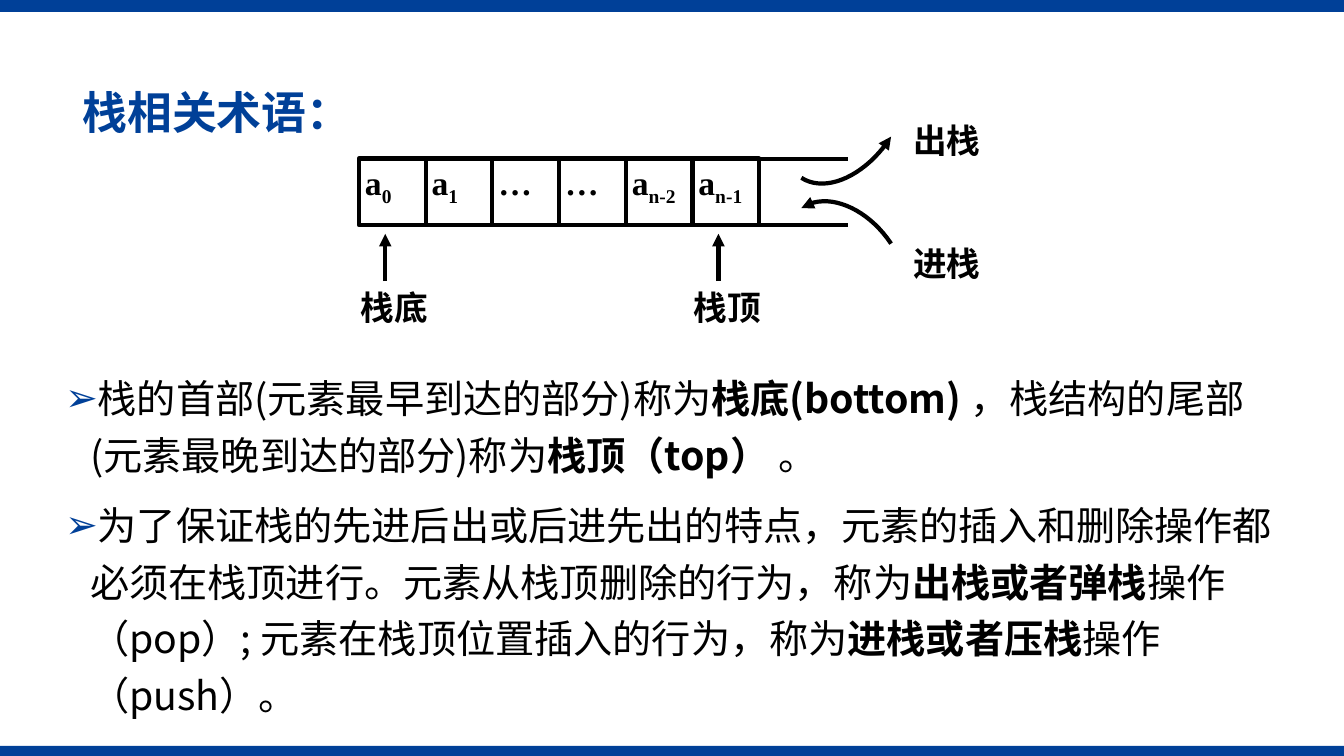
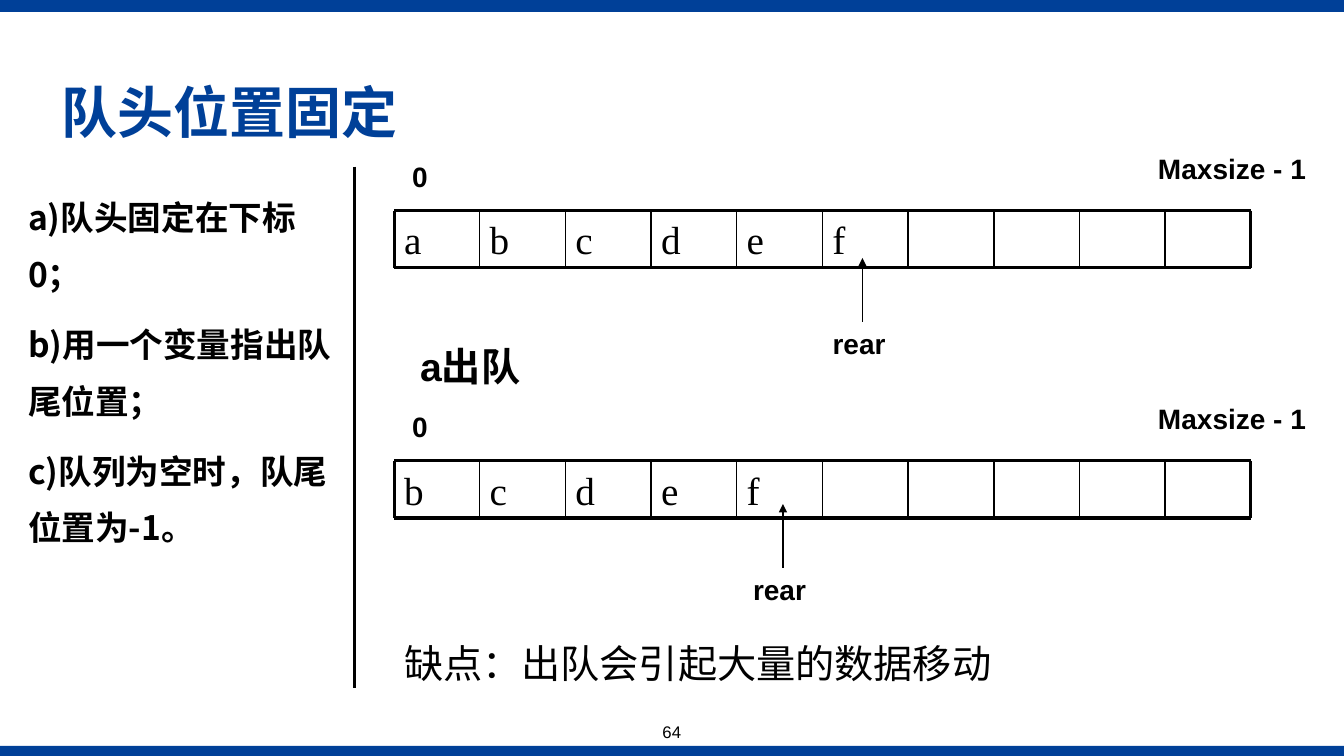
from dataclasses import dataclass

from lxml.etree import SubElement
from pptx import Presentation
from pptx.dml.color import RGBColor
from pptx.enum.shapes import MSO_CONNECTOR, MSO_SHAPE
from pptx.enum.text import MSO_ANCHOR, PP_ALIGN
from pptx.oxml.ns import qn
from pptx.util import Pt

WIDE, HIGH = 960, 540
COLORS = {"blue": "004098", "black": "000000"}
SONG = "Noto Sans CJK SC"
ROMAN = "Times New Roman"


@dataclass(frozen=True)
class Box:
    x: float
    y: float
    w: float
    h: float


@dataclass(frozen=True)
class Style:
    size: float
    face: str = SONG
    bold: bool = False
    color: str = "black"
    east: str = SONG
    lead: float = 1
    before: float = 0
    align: PP_ALIGN = PP_ALIGN.LEFT
    anchor: MSO_ANCHOR = MSO_ANCHOR.TOP


@dataclass(frozen=True)
class Queue:
    y: float
    items: str
    rear_x: float
    rear_y: float


@dataclass(frozen=True)
class Move:
    text: str
    y: float
    bend: list[tuple[float, float]]
    end: str


CELL = Style(24, ROMAN, True, east=ROMAN)
LABEL = Style(24, ROMAN, True)
TERMS = Style(28, lead=1.2, before=10)
NOTES = Style(24, bold=True, lead=1.4, before=10)
ITEM = Style(28, ROMAN, before=2.8)
MARK = Style(20, "Arial", True)
PAGE = Style(12, "Arial", align=PP_ALIGN.CENTER)


def rgb(name: str) -> RGBColor:
    return RGBColor.from_string(COLORS[name])


# Text
def format_run(run, style: Style, bold: bool) -> None:
    font = run.font
    font.size, font.name, font.bold = Pt(style.size), style.face, bold
    font.color.rgb = rgb(style.color)
    east = SubElement(run.font._element, qn("a:ea"))
    east.set("typeface", style.east)


def fill_text(frame, lines: list[str], style: Style) -> None:
    """Write one paragraph a line; asterisks enclose bold words."""
    frame.word_wrap = True
    frame.vertical_anchor = style.anchor
    for num, line in enumerate(lines):
        para = frame.add_paragraph() if num else frame.paragraphs[0]
        para.alignment = style.align
        para.line_spacing, para.space_before = style.lead, Pt(style.before)
        for part, text in enumerate(line.split("*")):
            if text:
                run = para.add_run()
                run.text = text
                format_run(run, style, style.bold or part % 2 == 1)


def add_text(slide, box: Box, lines: list[str], style: Style):
    shape = slide.shapes.add_textbox(Pt(box.x), Pt(box.y), Pt(box.w), Pt(box.h))
    fill_text(shape.text_frame, lines, style)
    return shape


def add_title(slide, box: Box, text: str, size: float) -> None:
    style = Style(size, bold=True, color="blue", lead=0.9, anchor=MSO_ANCHOR.MIDDLE)
    add_text(slide, box, [text], style)


def add_bullets(frame) -> None:
    for para in frame.paragraphs:
        props = para._p.get_or_add_pPr()
        props.set("marL", str(Pt(18)))
        props.set("indent", str(-Pt(18)))
        color = SubElement(props, qn("a:buClr"))
        SubElement(color, qn("a:srgbClr")).set("val", COLORS["blue"])
        SubElement(props, qn("a:buFont")).set("typeface", "Arial")
        SubElement(props, qn("a:buChar")).set("char", "➢")


# Shapes and lines
def add_rect(slide, box: Box):
    shape = slide.shapes.add_shape(
        MSO_SHAPE.RECTANGLE, Pt(box.x), Pt(box.y), Pt(box.w), Pt(box.h))
    shape.shadow.inherit = False
    return shape


def set_line(shape, width: float, end: str = "") -> None:
    """End may be headEnd or tailEnd, for an arrowhead there."""
    shape.line.width = Pt(width)
    shape.line.color.rgb = rgb("black")
    if end:
        SubElement(shape.line._get_or_add_ln(), qn(f"a:{end}")).set("type", "triangle")


def add_line(slide, x: float, y: float, to_x: float, to_y: float,
             width: float, end: str = ""):
    line = slide.shapes.add_connector(
        MSO_CONNECTOR.STRAIGHT, Pt(x), Pt(y), Pt(to_x), Pt(to_y))
    set_line(line, width, end)
    SubElement(line._element.spPr, qn("a:effectLst"))
    return line


def add_curve(slide, points: list[tuple[float, float]], end: str) -> None:
    """Draw a cubic curve through short steps."""
    steps = 20
    trail = []
    for step in range(steps + 1):
        t = step / steps
        parts = ((1 - t) ** 3, 3 * t * (1 - t) ** 2, 3 * t * t * (1 - t), t ** 3)
        trail.append(tuple(
            Pt(sum(part * point[axis] for part, point in zip(parts, points)))
            for axis in (0, 1)))
    build = slide.shapes.build_freeform(*trail[0], scale=1.0)
    build.add_line_segments(trail[1:], close=False)
    shape = build.convert_to_shape()
    shape.shadow.inherit = False
    shape.fill.background()
    set_line(shape, 3, end)


def new_slide(deck):
    slide = deck.slides.add_slide(deck.slide_layouts[6])
    for y, high in ((0, 8.6), (532.8, 7.2)):
        band = add_rect(slide, Box(0, y, WIDE, high))
        band.fill.solid()
        band.fill.fore_color.rgb = rgb("blue")
        band.line.fill.background()
    return slide


# Stack slide
def add_cell(slide, box: Box, text: str, sub: str) -> None:
    cell = add_rect(slide, box)
    cell.fill.background()
    set_line(cell, 3)
    frame = cell.text_frame
    frame.margin_left = frame.margin_right = Pt(4.3)
    frame.margin_top = frame.margin_bottom = Pt(2.2)
    fill_text(frame, [text], CELL)
    if sub:
        run = frame.paragraphs[0].add_run()
        run.text = sub
        format_run(run, CELL, True)
        run.font._element.set("baseline", "-25000")


def stack_slide(deck) -> None:
    slide = new_slide(deck)
    add_title(slide, Box(51.8, 59.7, 879, 45.4), "栈相关术语：", 32)
    terms = add_text(slide, Box(39.4, 257.2, 879, 265.7), [
        "栈的首部(元素最早到达的部分)称为*栈底(bottom) *，栈结构的尾部"
        "(元素最晚到达的部分)称为*栈顶（top）* 。",
        "为了保证栈的先进后出或后进先出的特点，元素的插入和删除操作都必须在"
        "栈顶进行。元素从栈顶删除的行为，称为*出栈或者弹栈*操作（pop）; "
        "元素在栈顶位置插入的行为，称为*进栈或者压栈*操作（push）。",
    ], TERMS)
    add_bullets(terms.text_frame)

    # Cells, dividers and the open end
    left, top, side = 256.4, 113.2, 47.64
    cells = [("a", "0"), ("a", "1"), ("…", ""), ("…", ""), ("a", "n-2"), ("a", "n-1")]
    for num, (text, sub) in enumerate(cells):
        x = left + num * side
        add_cell(slide, Box(x, top, side, side), text, sub)
        add_line(slide, x + side, top, x + side, top + side, 3)
    right = left + len(cells) * side
    for y in (top + 0.5, top + side):
        add_line(slide, right, y, 605.5, y, 3)

    # Pop and push
    for move in (
        Move("出栈", 82.1, [(636.5, 97.6), (619.2, 124.8), (590.4, 138.6),
                          (572.4, 127)], "headEnd"),
        Move("进栈", 169.9, [(636.5, 174), (619.2, 148), (590.4, 136.4),
                           (572.4, 148.6)], "tailEnd"),
    ):
        add_text(slide, Box(645.1, move.y, 75.6, 36.7), [move.text], LABEL)
        add_curve(slide, move.bend, move.end)

    # Bottom and top
    for text, x in (("栈底", 250.4), ("栈顶", 488.4)):
        add_text(slide, Box(x, 201.4, 72, 33.8), [text], LABEL)
        add_line(slide, x + 24.8, 200.9, x + 24.8, 167, 3, "tailEnd")


# Queue slide
def add_queue(slide, queue: Queue) -> None:
    left, count, wide, high = 281.5, 10, 61.2, 40.8
    right, foot = left + count * wide, queue.y + high
    for num, item in enumerate(queue.items):
        add_text(slide, Box(left + num * wide, queue.y, wide, high), [item], ITEM)
    for y in (queue.y, foot):
        add_line(slide, left, y, right, y, 2.25)
    for num in range(count + 1):
        x = left + num * wide
        add_line(slide, x, queue.y, x, foot, 2.25 if num in (0, count) else 1)
    add_text(slide, Box(287.3, queue.y - 40, 39.6, 31), ["0"], MARK)
    add_text(slide, Box(820.1, queue.y - 45.6, 127.4, 31), ["Maxsize - 1"], MARK)
    rear = Box(queue.rear_x, queue.rear_y, 56.9, 31)
    label = add_text(slide, rear, ["rear"], MARK)
    mid = rear.x + rear.w / 2
    arrow = add_line(slide, mid, rear.y, mid, rear.y - 45.4, 1, "tailEnd")
    arrow.begin_connect(label, 0)


def queue_slide(deck) -> None:
    slide = new_slide(deck)
    add_title(slide, Box(36.9, 37.2, 612, 90), "队头位置固定", 40)
    add_text(slide, Box(13, 125.8, 233.3, 374.4), [
        "a)队头固定在下标0；",
        "b)用一个变量指出队尾位置；",
        "c)队列为空时，队尾位置为-1。",
    ], NOTES)
    add_line(slide, 253, 119, 253, 491.8, 2.25)
    for queue in (Queue(150.5, "abcdef", 587.6, 229.7),
                  Queue(329.2, "bcdef", 530.8, 405.4)):
        add_queue(slide, queue)
    add_text(slide, Box(293, 241.2, 278, 41), ["a出队"],
             Style(28, "Arial", True))
    add_text(slide, Box(281.5, 453.2, 577.4, 41), ["缺点：出队会引起大量的数据移动"],
             Style(28, "Arial"))
    add_text(slide, Box(365.8, 512.3, 228.2, 24), ["64"], PAGE)


def main() -> None:
    deck = Presentation()
    deck.slide_width, deck.slide_height = Pt(WIDE), Pt(HIGH)
    stack_slide(deck)
    queue_slide(deck)
    deck.save("out.pptx")


if __name__ == "__main__":
    main()
